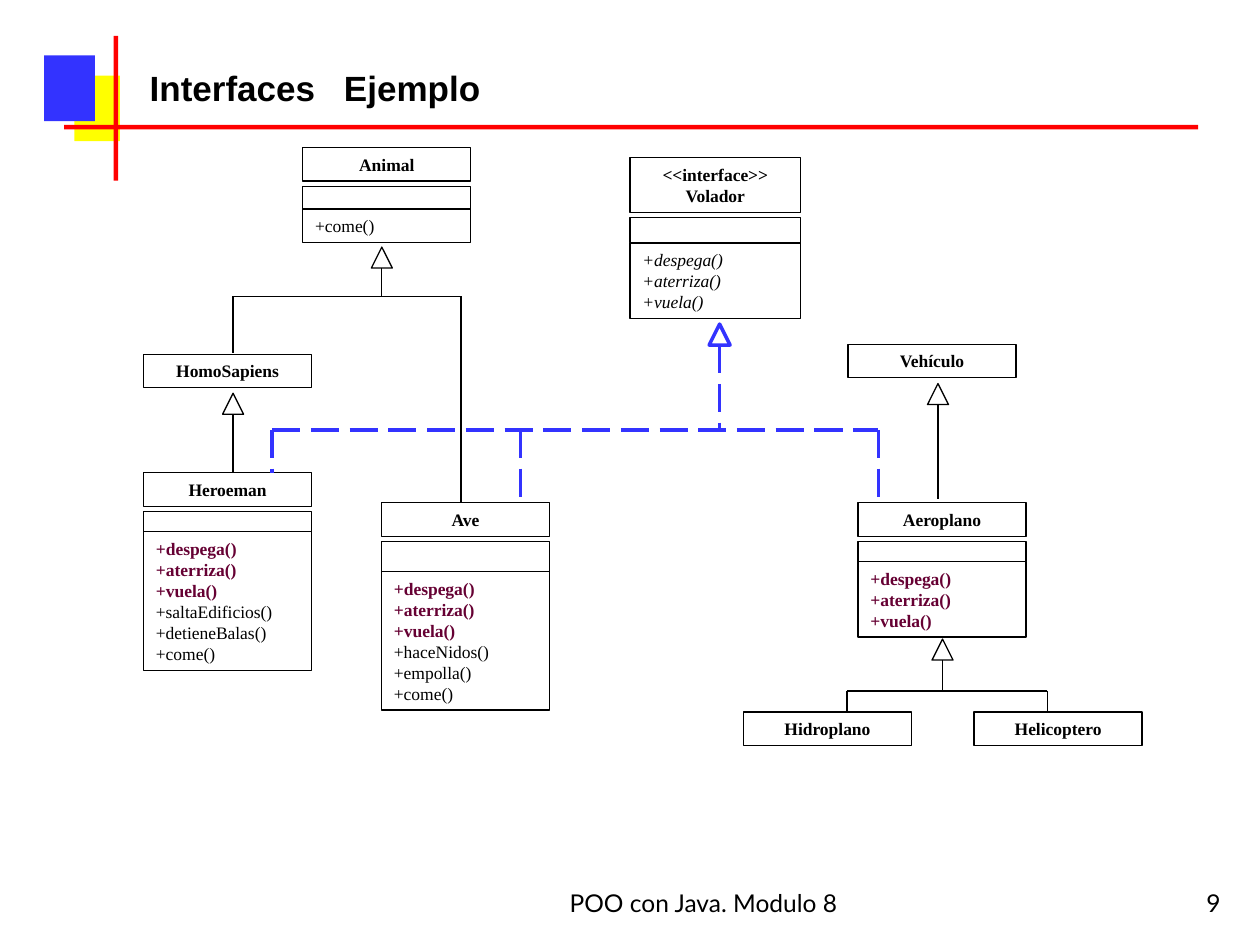
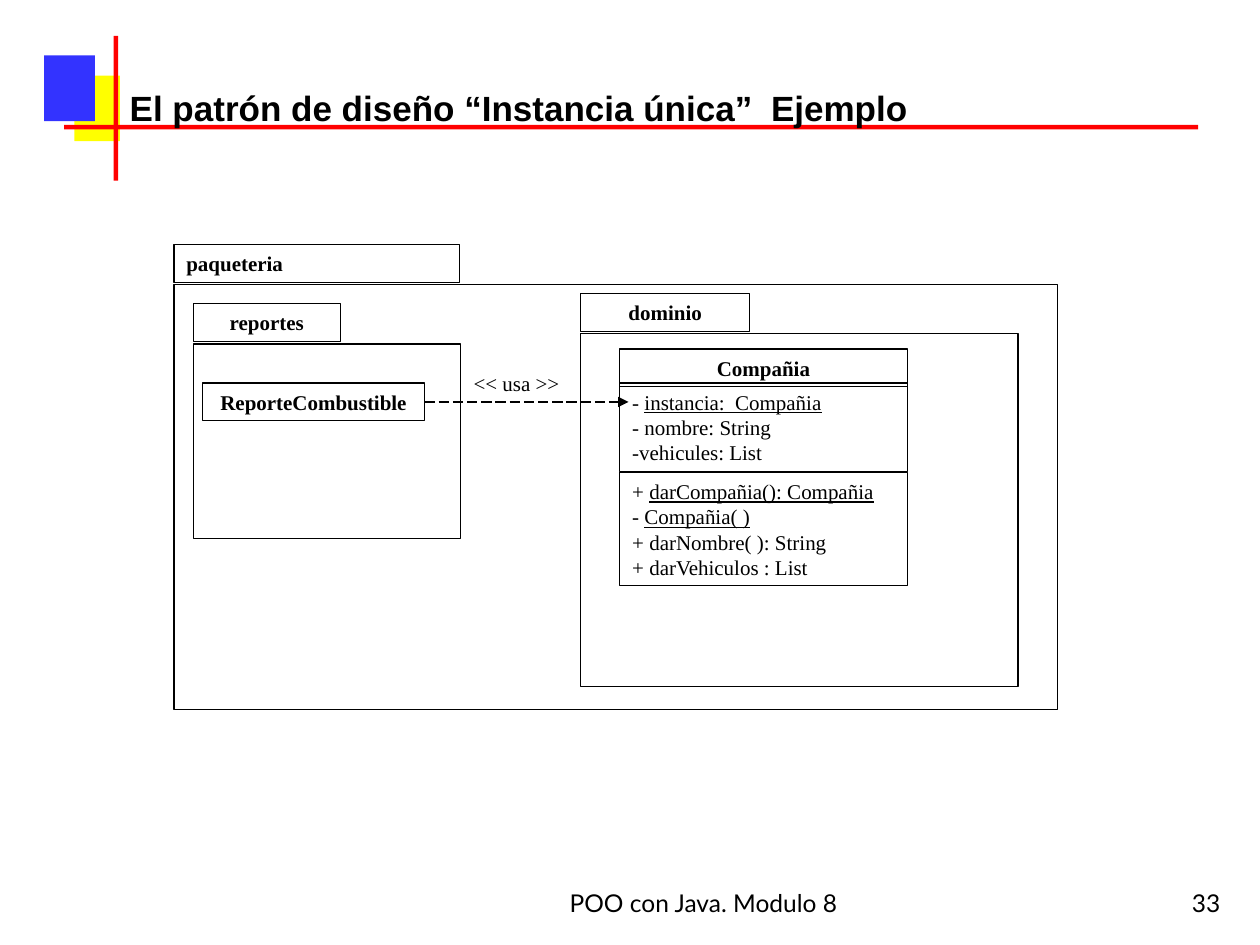
from lxml.etree import SubElement
from pptx import Presentation
from pptx.dml.color import RGBColor
from pptx.enum.dml import MSO_LINE
from pptx.enum.shapes import MSO_CONNECTOR, MSO_SHAPE
from pptx.enum.text import MSO_ANCHOR, PP_ALIGN
from pptx.oxml.ns import qn
from pptx.util import Pt

BLACK = RGBColor(0x00, 0x00, 0x00)
BLUE = RGBColor(0x33, 0x33, 0xFF)
YELLOW = RGBColor(0xFF, 0xFF, 0x00)
RED = RGBColor(0xFF, 0x00, 0x00)
PLUM = RGBColor(0x66, 0x00, 0x33)
SERIF = "Times New Roman"
SANS = "Arial"
FOOT = "Lato"
THIN = 0.75
HEAD = 12
WIDE = 96
FLIGHT = ["+despega()", "+aterriza()", "+vuela()"]


def write(shape, lines, size, font=SERIF, align=PP_ALIGN.LEFT, anchor=MSO_ANCHOR.TOP):
    frame = shape.text_frame
    frame.word_wrap = True
    frame.vertical_anchor = anchor
    for index, line in enumerate(lines):
        para = frame.paragraphs[0] if index == 0 else frame.add_paragraph()
        para.alignment = align
        for text, marks in line:
            run = para.add_run()
            run.text = text
            run.font.name = font
            run.font.size = Pt(size)
            run.font.bold = "b" in marks
            run.font.italic = "i" in marks
            run.font.underline = "u" in marks
            run.font.color.rgb = PLUM if "p" in marks else BLACK
    return frame


def label(slide, x, y, w, h, lines, size, **style):
    shape = slide.shapes.add_textbox(Pt(x), Pt(y), Pt(w), Pt(h))
    return write(shape, lines, size, **style)


def block(slide, x, y, w, h, color):
    shape = slide.shapes.add_shape(MSO_SHAPE.RECTANGLE, Pt(x), Pt(y), Pt(w), Pt(h))
    shape.shadow.inherit = False
    shape.fill.solid()
    shape.fill.fore_color.rgb = color
    shape.line.fill.background()


def outline(slide, x, y, w, h, kind=MSO_SHAPE.RECTANGLE, color=BLACK, weight=THIN):
    shape = slide.shapes.add_shape(kind, Pt(x), Pt(y), Pt(w), Pt(h))
    shape.shadow.inherit = False
    shape.fill.background()
    shape.line.color.rgb = color
    shape.line.width = Pt(weight)
    return shape


def height(lines, size):
    return 1.2 * size * len(lines) + 7.2


def cell(slide, x, y, w, lines, size, align=PP_ALIGN.LEFT):
    shape = outline(slide, x, y, w, height(lines, size))
    write(shape, lines, size, align=align)
    return shape


def title(slide, x, y, w, size, names, marks="b"):
    return cell(slide, x, y, w, [[(name, marks)] for name in names], size, PP_ALIGN.CENTER)


def line(slide, x, y, right, low, color=BLACK, weight=THIN, dash=None):
    link = slide.shapes.add_connector(
        MSO_CONNECTOR.STRAIGHT, Pt(x), Pt(y), Pt(right), Pt(low))
    link.line.color.rgb = color
    link.line.width = Pt(weight)
    if dash:
        link.line.dash_style = dash
    SubElement(link._element.spPr, qn("a:effectLst"))
    return link


def tree(slide, x, y, bar, drops=(), color=BLACK, weight=THIN, dash=None):
    outline(slide, x - HEAD / 2, y, HEAD, HEAD,
            MSO_SHAPE.ISOSCELES_TRIANGLE, color, weight)
    line(slide, x, y + HEAD, x, bar, color, weight, dash)
    if drops:
        sides = [side for side, low in drops]
        line(slide, min(sides), bar, max(sides), bar, color, weight, dash)
    for side, low in drops:
        line(slide, side, bar, side, low, color, weight, dash)


def entry(slide, x, y, names, gap=None, rows=(), w=WIDE):
    title(slide, x, y, w, 10, names)
    if rows:
        top = y + height(names, 10) + 3
        outline(slide, x, top, w, gap)
        cell(slide, x, top + gap, w, rows, 10)


def page(deck, x, y, w, words, stop, number):
    slide = deck.slides.add_slide(deck.slide_layouts[6])
    block(slide, 42.5, 43.2, 26, 37.5, YELLOW)
    block(slide, 25.2, 31.7, 29, 37.5, BLUE)
    block(slide, 65, 20.5, 2.6, 82.8, RED)
    block(slide, 36.7, 71.4, 648, 2.6, RED)
    for left, wide, text, align in (
            (288, 228, "POO con Java. Modulo 8", PP_ALIGN.CENTER),
            (554.5, 150, number, PP_ALIGN.RIGHT)):
        label(slide, left, 491.8, wide, 36, [[(text, "")]], 14,
              font=FOOT, align=align, anchor=MSO_ANCHOR.BOTTOM)
    frame = label(slide, x, y, w, 31.7, [[(words, "b")]], 20, font=SANS)
    frame.margin_left = Pt(37.4)
    frame.margin_top = Pt(6.2)
    tabs = SubElement(frame.paragraphs[0]._p.get_or_add_pPr(), qn("a:tabLst"))
    SubElement(tabs, qn("a:tab"), pos=str(Pt(stop)), algn="l")
    return slide


def classes(slide, x, y):
    flight = [[(name, "bp")] for name in FLIGHT]

    def plain(*names):
        return [[(name, "")] for name in names]

    entry(slide, x + 278, y + 6, ["<<interface>>", "Volador"], 14.4,
          [[(name, "i")] for name in FLIGHT], 97.5)
    entry(slide, x + 91, y, ["Animal"], 13, plain("+come()"))
    entry(slide, x + 136, y + 203, ["Ave"], 17.2,
          flight + plain("+haceNidos()", "+empolla()", "+come()"))
    entry(slide, x + 408.3, y + 203, ["Aeroplano"], 11.5, flight)
    entry(slide, x, y + 186, ["Heroeman"], 11.5,
          flight + plain("+saltaEdificios()", "+detieneBalas()", "+come()"))
    for left, top, name in ((402.6, 112.5, "Vehículo"), (0, 118.2, "HomoSapiens"),
                            (474.6, 322.7, "Helicoptero"), (342.8, 322.7, "Hidroplano")):
        entry(slide, x + left, y + top, [name])

    black = (BLACK, THIN, None)
    blue = (BLUE, 2, MSO_LINE.LONG_DASH)
    for left, top, bar, drops, style in (
            (454, 135, 201, (), black),
            (51.2, 140.5, 186, (), black),
            (136.2, 57, 85.2, ((51.2, 117.6), (181.5, 203)), black),
            (456.6, 281, 310.6, ((402, 322.7), (516.5, 322.7)), black),
            (329.2, 101, 161.5, ((73.5, 186), (215.4, 201), (420, 202.5)), blue)):
        ends = [(x + side, y + low) for side, low in drops]
        tree(slide, x + left, y + top, y + bar, ends, *style)


def package(slide, x, y, w, h, name, tab, align=PP_ALIGN.CENTER):
    cell(slide, x, y, tab, [[(name, "b")]], 12, align)
    outline(slide, x, y + 23, w, h - 23)


def modules(slide, x, y, w, h):
    package(slide, x, y, w, h, "paqueteria", 163.4, PP_ALIGN.LEFT)
    package(slide, x + 11, y + 33.9, 152.6, 134, "reportes", 84.2)
    package(slide, x + 232.5, y + 28.1, 249.8, 224.6, "dominio", 96.5)
    report = title(slide, x + 16.5, y + 79.2, 126.7, 12, ["ReporteCombustible"])
    left = x + 254.8
    title(slide, left, y + 59.7, 164.2, 12, ["Compañia"])
    cell(slide, left, y + 79.2, 164.2, [
        [("- ", ""), ("instancia:  Compañia", "u")],
        [("- nombre: String", "")],
        [("-vehicules: List", "")]], 12)
    cell(slide, left, y + 130.3, 164.2, [
        [("+ ", ""), ("darCompañia(): Compañia", "u")],
        [("- ", ""), ("Compañia( )", "u")],
        [("+ darNombre( ): String", "")],
        [("+ darVehiculos : List", "")]], 12)
    mid = y + 90
    arrow = line(slide, x + 143.2, mid, left + 5, mid, dash=MSO_LINE.LONG_DASH)
    arrow.begin_connect(report, 3)
    SubElement(arrow.line._get_or_add_ln(), qn("a:tailEnd"), type="triangle")
    label(slide, x + 164.1, y + 68.4, 65.5, 21.6, [[("<< usa >>", "")]], 12)


def main():
    deck = Presentation()
    deck.slide_width = Pt(720)
    deck.slide_height = Pt(540)
    first = page(deck, 48.2, 31.7, 266.4, "Interfaces\tEjemplo", 111, "9")
    classes(first, 82, 84.2)
    second = page(deck, 36.7, 43.2, 527,
                  "El patrón de diseño “Instancia única”\tEjemplo", 366.5, "33")
    modules(second, 99.4, 139.7, 504.7, 265.6)
    deck.save("out.pptx")


if __name__ == "__main__":
    main()
